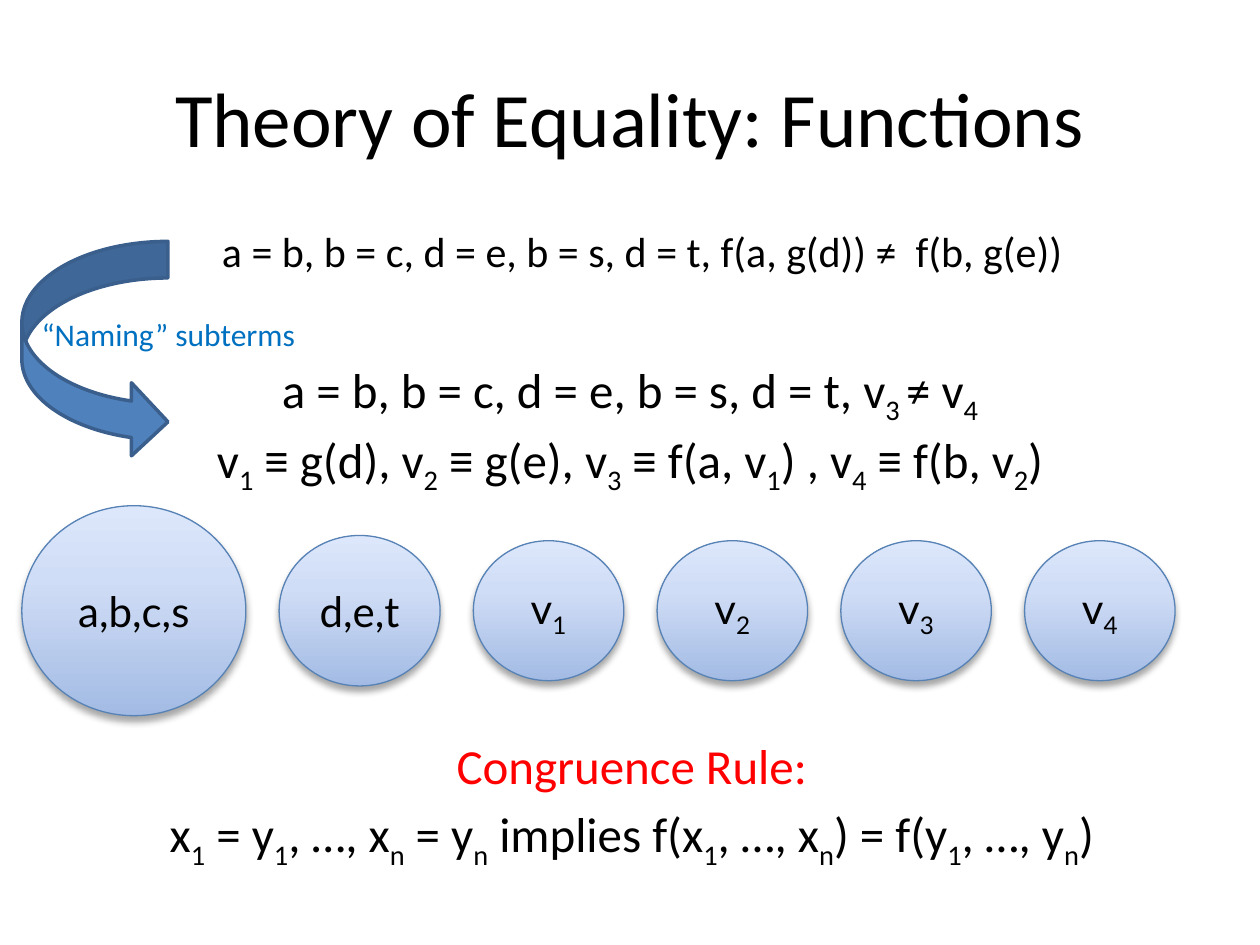
from copy import deepcopy

from lxml import etree
from pptx import Presentation
from pptx import util as u
from pptx.dml.color import RGBColor
from pptx.enum import shapes, text
from pptx.oxml import ns

BLACK = RGBColor(0x00, 0x00, 0x00)
RED = RGBColor(0xFF, 0x00, 0x00)
BLUE = RGBColor(0x00, 0x70, 0xC0)
ARROW_FILL = RGBColor(0x4F, 0x81, 0xBD)
ARROW_LINE = RGBColor(0x3A, 0x5F, 0x8C)
CLASS_LINE = RGBColor(0x57, 0x82, 0xB5)
CLASS_STOPS = (
    (0, RGBColor(0xA3, 0xBB, 0xE4)),
    (0.65, RGBColor(0xD0, 0xDD, 0xF6)),
    (1, RGBColor(0xDC, 0xE7, 0xFB)),
)


class Deck:
    """Draws styled elements on the current slide; text between bars is subscript."""

    body_font = "Calibri"
    class_font = "Lato"

    def __init__(self, width, height):
        self.prs = Presentation()
        self.prs.slide_width, self.prs.slide_height = u.Pt(width), u.Pt(height)
        self.s = self.prs.slides.add_slide(self.prs.slide_layouts[6])

    def add_runs(self, p, line, size, color, font):
        p.alignment = text.PP_ALIGN.CENTER
        for i, part in enumerate(line.split("|")):
            if not part:
                continue
            r = p.add_run()
            r.text = part
            r.font.size, r.font.name = u.Pt(size), font
            r.font.color.rgb = color
            if i % 2:
                r.font._element.set("baseline", "-25000")

    def text(self, box, lines, size, inset=None, hanging=0, wrap=True):
        sp = self.s.shapes.add_textbox(*map(u.Pt, box))
        tf = sp.text_frame
        tf.word_wrap = wrap
        if inset is not None:
            tf.margin_left = tf.margin_right = u.Pt(inset)
            tf.margin_top = tf.margin_bottom = u.Pt(inset)
        for i, (line, color) in enumerate(lines):
            p = tf.add_paragraph() if i else tf.paragraphs[0]
            self.add_runs(p, line, size, color, self.body_font)
            if hanging:
                p.line_spacing = 0.9
                p.space_before = u.Pt(size * 0.2)
                pPr = p._p.get_or_add_pPr()
                pPr.set("marL", str(u.Pt(hanging)))
                pPr.set("indent", str(-u.Pt(hanging)))
        return sp

    def shape(self, kind, box, line, width):
        sp = self.s.shapes.add_shape(kind, *map(u.Pt, box))
        sp.shadow.inherit = False
        sp.line.color.rgb = line
        sp.line.width = u.Pt(width)
        return sp

    def arrow(self, box):
        sp = self.shape(shapes.MSO_SHAPE.CURVED_RIGHT_ARROW, box, ARROW_LINE, 2)
        sp.fill.solid()
        sp.fill.fore_color.rgb = ARROW_FILL

    def equivalence_class(self, box, label):
        sp = self.shape(shapes.MSO_SHAPE.OVAL, box, CLASS_LINE, 0.75)
        self.shade(sp)
        self.shadow(sp)
        tf = sp.text_frame
        tf.margin_left = tf.margin_right = u.Pt(8.64)
        tf.margin_top = tf.margin_bottom = u.Pt(4.32)
        tf.vertical_anchor = text.MSO_ANCHOR.MIDDLE
        self.add_runs(tf.paragraphs[0], label, 24, BLACK, self.class_font)

    def shade(self, sp):
        sp.fill.gradient()
        sp.fill.gradient_angle = 90
        stops = sp._element.spPr.find(".//" + ns.qn("a:gsLst"))
        stops.insert(1, deepcopy(stops[0]))
        for stop, (position, color) in zip(sp.fill.gradient_stops, CLASS_STOPS):
            stop.position = position
            stop.color.rgb = color

    def shadow(self, sp):
        effects = sp._element.spPr.find(ns.qn("a:effectLst"))
        outer = etree.SubElement(
            effects, ns.qn("a:outerShdw"), blurRad=str(u.Pt(4)),
            dist=str(u.Pt(3)), dir="5400000", rotWithShape="0")
        color = etree.SubElement(outer, ns.qn("a:srgbClr"), val=str(BLACK))
        etree.SubElement(color, ns.qn("a:alpha"), val="35000")


def main():
    deck = Deck(720, 540)
    deck.text((30, 206, 660, 68), [
        ("a = b, b = c, d = e, b = s, d = t, v|3 |≠ v|4|", BLACK),
        ("v|1| ≡ g(d), v|2| ≡ g(e), v|3| ≡ f(a, v|1|) , v|4| ≡ f(b, v|2|)", BLACK),
    ], 28, inset=0, hanging=30)
    deck.text((31, 424, 660, 68), [
        ("Congruence Rule:", RED),
        ("x|1| = y|1|, …, x|n| = y|n| implies f(x|1|, …, x|n|) = f(y|1|, …, y|n|)", BLACK),
    ], 28, inset=0, hanging=30)

    left, middle, gap = 12.5, 349, 19
    classes = [("a,b,c,s", 128, 120), ("d,e,t", 92, 86)]
    classes += [(f"v|{i}|", 86, 80) for i in range(1, 5)]
    for label, width, height in classes:
        deck.equivalence_class((left, middle - height / 2, width, height), label)
        left += width + gap

    title = deck.text((36, 21.6, 648, 90), [("Theory of Equality: Functions", BLACK)], 44)
    title.text_frame.vertical_anchor = text.MSO_ANCHOR.MIDDLE
    deck.text((105, 125.5, 524, 36), [
        ("a = b, b = c, d = e, b = s, d = t, f(a, g(d)) ≠  f(b, g(e))", BLACK)], 24)
    deck.text((16, 179, 160.5, 26.5), [("“Naming” subterms", BLUE)], 18,
              hanging=30, wrap=False)
    deck.arrow((12.5, 138, 83.5, 124))
    deck.prs.save("out.pptx")


if __name__ == "__main__":
    main()
